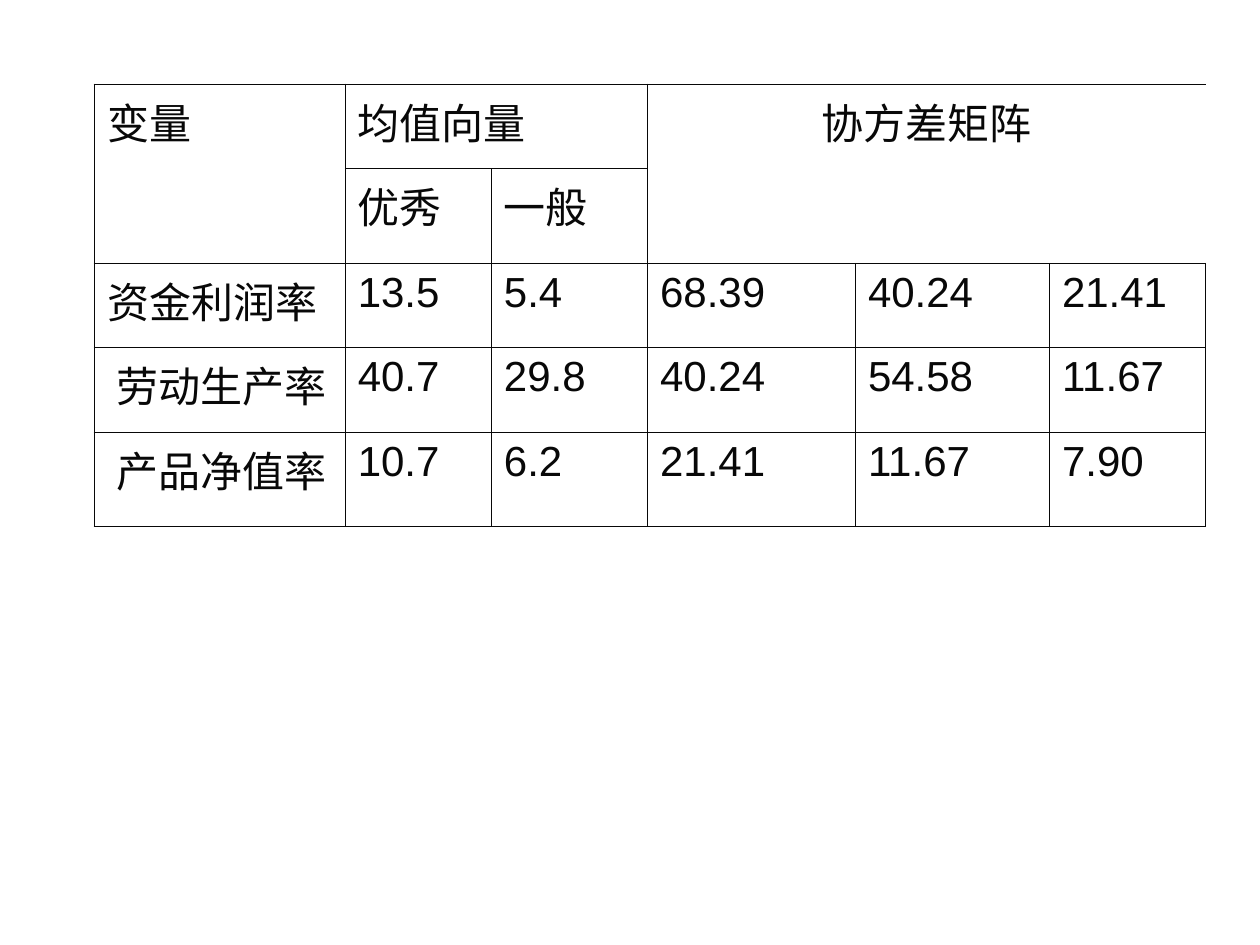
"""Build a slide with a table of mean vectors and a covariance matrix."""
from dataclasses import dataclass

from lxml import etree
from pptx import Presentation
from pptx import util as u
from pptx.dml.color import RGBColor
from pptx.enum import text
from pptx.oxml import ns


@dataclass(frozen=True)
class Theme:
    ink: str = "080808"
    font: str = "Arial"
    size: float = 24
    thin: float = 0.45
    thick: float = 1.08


theme = Theme()


def write(cell, words, align=text.PP_ALIGN.LEFT):
    para = cell.text_frame.paragraphs[0]
    para.alignment = align
    run = para.add_run()
    run.text = words
    run.font.name = theme.font
    run.font.size = u.Pt(theme.size)
    run.font.color.rgb = RGBColor.from_string(theme.ink)


def edge(cell, side, width):
    line = etree.SubElement(cell._tc.get_or_add_tcPr(), ns.qn(f"a:ln{side}"))
    line.set("w", str(u.Pt(width)))
    if width:
        fill = etree.SubElement(line, ns.qn("a:solidFill"))
        etree.SubElement(fill, ns.qn("a:srgbClr")).set("val", theme.ink)
    else:
        etree.SubElement(line, ns.qn("a:noFill"))


widths = [1.99, 1.16, 1.24, 1.41, 0.24, 1.54, 1.24]
heights = [0.67, 0.75, 0.67, 0.67, 0.75]
zones = ["abbcccc", "adecccc", "fghiijk", "lmnoopq", "rstuuvw"]
sides = {"L": (0, -1), "R": (0, 1), "T": (-1, 0), "B": (1, 0)}
heads = [(0, 0, "变量"), (0, 1, "均值向量"), (1, 1, "优秀"), (1, 2, "一般")]
spans = [((0, 0), (1, 0)), ((0, 1), (0, 2)), ((0, 3), (1, 6))]
data = [
    ["资金利润率", "13.5", "5.4", "68.39", "", "40.24", "21.41"],
    [" 劳动生产率", "40.7", "29.8", "40.24", "", "54.58", "11.67"],
    [" 产品净值率", "10.7", "6.2", "21.41", "", "11.67", "7.90"],
]

deck = Presentation()
deck.slide_width, deck.slide_height = u.Inches(10), u.Inches(7.5)
slide = deck.slides.add_slide(deck.slide_layouts[6])
table = slide.shapes.add_table(
    len(heights), len(widths), u.Inches(0.75), u.Inches(0.67),
    u.Inches(sum(widths)), u.Inches(sum(heights))).table
table.first_row = table.horz_banding = False

for col, width in zip(table.columns, widths):
    col.width = u.Inches(width)
for row, height in zip(table.rows, heights):
    row.height = u.Inches(height)

for r, line in enumerate(zones):
    for c, zone in enumerate(line):
        cell = table.cell(r, c)
        for side, (down, right) in sides.items():
            y, x = r + down, c + right
            inside = 0 <= y < len(heights) and 0 <= x < len(widths)
            if not inside:
                edge(cell, side, theme.thick)
            else:
                edge(cell, side, 0 if zones[y][x] == zone else theme.thin)
        cell.fill.background()

for first, last in spans:
    table.cell(*first).merge(table.cell(*last))

for r, c, words in heads:
    write(table.cell(r, c), words)
write(table.cell(0, 3), "协方差矩阵", align=text.PP_ALIGN.CENTER)
for r, line in enumerate(data, start=2):
    for c, words in enumerate(line):
        if words:
            write(table.cell(r, c), words)

deck.save("out.pptx")
